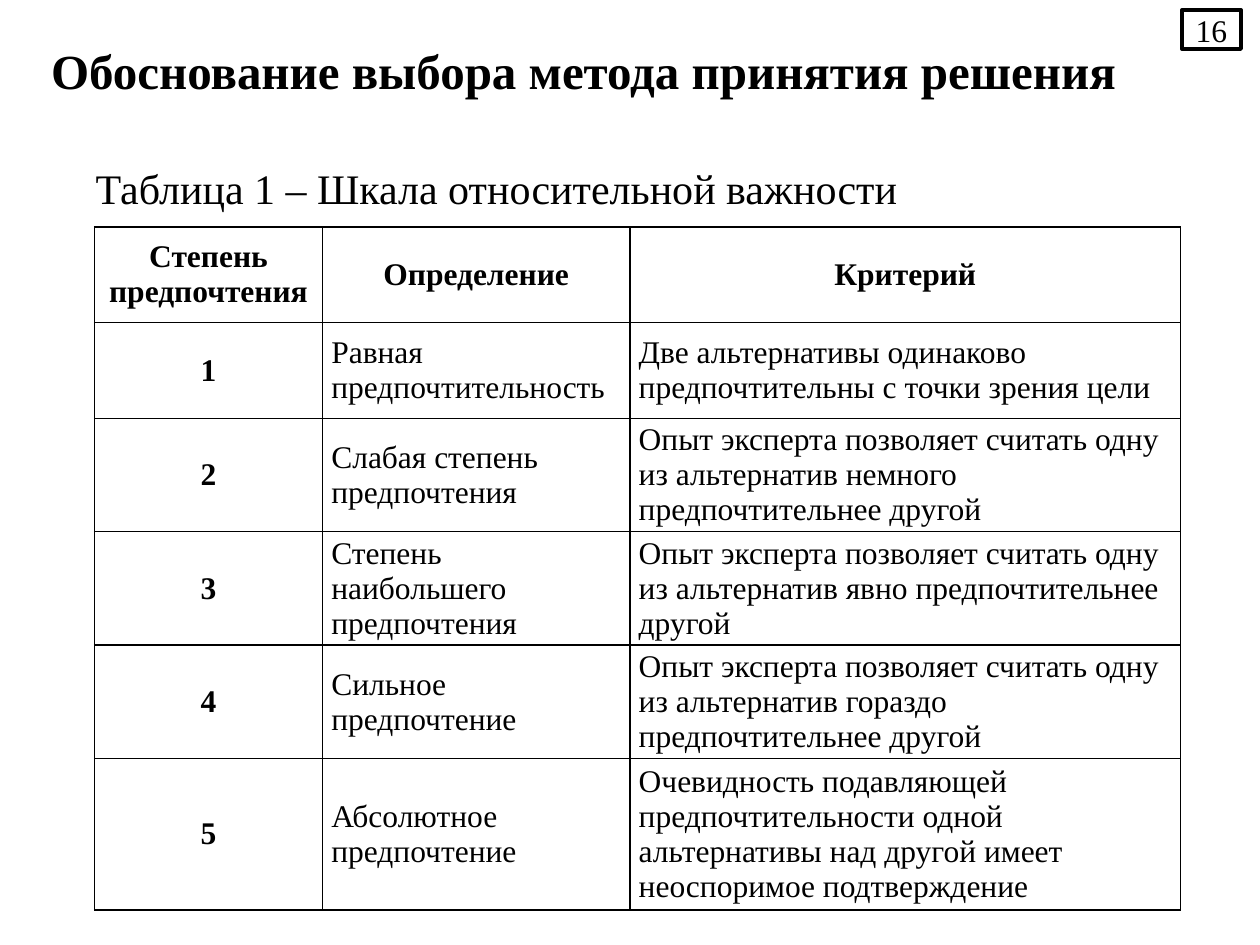
from dataclasses import dataclass

from lxml import etree
from pptx import Presentation
from pptx.dml.color import RGBColor
from pptx.enum.shapes import MSO_SHAPE
from pptx.enum.text import MSO_ANCHOR, PP_ALIGN
from pptx.oxml.ns import qn
from pptx.util import Inches, Pt

LEFT, MID, JUST = PP_ALIGN.LEFT, PP_ALIGN.CENTER, PP_ALIGN.JUSTIFY
TOP, MIDDLE = MSO_ANCHOR.TOP, MSO_ANCHOR.MIDDLE
RECT = MSO_SHAPE.RECTANGLE


@dataclass(frozen=True)
class Theme:
    font: str = "Times New Roman"
    ink: RGBColor = RGBColor(0, 0, 0)
    paper: RGBColor = RGBColor(255, 255, 255)
    title: int = 28
    caption: int = 24
    body: int = 18


@dataclass(frozen=True)
class Box:
    left: float
    top: float
    width: float
    height: float

    def place(self) -> tuple:
        return tuple(map(Inches, (self.left, self.top, self.width, self.height)))


@dataclass(frozen=True)
class Grade:
    level: str
    name: str
    rule: str


THEME = Theme()
HEAD = Grade("Степень предпочтения", "Определение", "Критерий")
GRADES = [
    Grade("1", "Равная предпочтительность",
          "Две альтернативы одинаково предпочтительны с точки зрения цели"),
    Grade("2", "Слабая степень предпочтения",
          "Опыт эксперта позволяет считать одну из альтернатив немного "
          "предпочтительнее другой"),
    Grade("3", "Степень наибольшего предпочтения",
          "Опыт эксперта позволяет считать одну из альтернатив явно "
          "предпочтительнее другой"),
    Grade("4", "Сильное предпочтение",
          "Опыт эксперта позволяет считать одну из альтернатив гораздо "
          "предпочтительнее другой"),
    Grade("5", "Абсолютное предпочтение",
          "Очевидность подавляющей предпочтительности одной альтернативы "
          "над другой имеет неоспоримое подтверждение"),
]
COLS = (1.81, 2.44, 4.37)
ROWS = (0.76,) * 5 + (1.01,)


def write(frame, text: str, size: int, bold: bool = False, align=LEFT,
          before: float = 0, indent: float = 0) -> None:
    para = frame.paragraphs[0]
    para.alignment = align
    para.space_before = Pt(before)
    if indent:
        para._p.get_or_add_pPr().set("indent", str(Inches(indent)))
    run = para.add_run()
    run.text = text
    font = run.font
    font.name, font.size, font.bold = THEME.font, Pt(size), bold
    font.color.rgb = THEME.ink


def add_text(slide, box: Box, text: str, size: int, anchor=TOP, **style) -> None:
    frame = slide.shapes.add_textbox(*box.place()).text_frame
    frame.word_wrap = True
    frame.vertical_anchor = anchor
    write(frame, text, size, **style)


def add_badge(slide, box: Box, text: str) -> None:
    """Draw the framed page number."""
    shape = slide.shapes.add_shape(RECT, *box.place())
    shape.shadow.inherit = False
    shape.fill.solid()
    shape.fill.fore_color.rgb = THEME.paper
    shape.line.color.rgb = THEME.ink
    shape.line.width = Pt(2)
    shape.text_frame.vertical_anchor = MIDDLE
    write(shape.text_frame, text, THEME.body, align=MID)


def add_edges(cell) -> None:
    """Put a thin line on all four sides, ahead of the cell's fill."""
    props = cell._tc.get_or_add_tcPr()
    for spot, side in enumerate(("lnL", "lnR", "lnT", "lnB")):
        line = etree.Element(qn(f"a:{side}"), w=str(Pt(1)))
        fill = etree.SubElement(line, qn("a:solidFill"))
        etree.SubElement(fill, qn("a:srgbClr"), val=str(THEME.ink))
        props.insert(spot, line)


def fill_cell(cell, text: str, strong: bool) -> None:
    cell.fill.solid()
    cell.fill.fore_color.rgb = THEME.paper
    cell.vertical_anchor = MIDDLE
    cell.margin_left = cell.margin_right = Inches(0.07)
    cell.margin_top = cell.margin_bottom = 0
    write(cell.text_frame, text, THEME.body, bold=strong,
          align=MID if strong else LEFT)
    add_edges(cell)


def add_scale(slide, left: float, top: float) -> None:
    box = Box(left, top, sum(COLS), sum(ROWS))
    table = slide.shapes.add_table(len(ROWS), len(COLS), *box.place()).table
    table.first_row = table.horz_banding = False
    for col, width in zip(table.columns, COLS):
        col.width = Inches(width)
    for row, height in zip(table.rows, ROWS):
        row.height = Inches(height)
    for r, grade in enumerate([HEAD, *GRADES]):
        for c, text in enumerate((grade.level, grade.name, grade.rule)):
            fill_cell(table.cell(r, c), text, strong=r == 0 or c == 0)


def main() -> None:
    deck = Presentation()
    deck.slide_width, deck.slide_height = Inches(10), Inches(7.5)
    slide = deck.slides.add_slide(deck.slide_layouts[6])
    slide.background.fill.solid()
    slide.background.fill.fore_color.rgb = THEME.paper
    add_text(slide, Box(0.18, 0.11, 8.9, 0.89),
             "Обоснование выбора метода принятия решения",
             THEME.title, anchor=MIDDLE, bold=True, align=MID)
    add_badge(slide, Box(9.38, 0.08, 0.47, 0.31), "16")
    add_text(slide, Box(0.18, 1.24, 9.58, 0.57),
             "Таблица 1 – Шкала относительной важности",
             THEME.caption, align=JUST, before=4.8, indent=0.48)
    add_scale(slide, 0.75, 1.8)
    deck.save("out.pptx")


if __name__ == "__main__":
    main()
